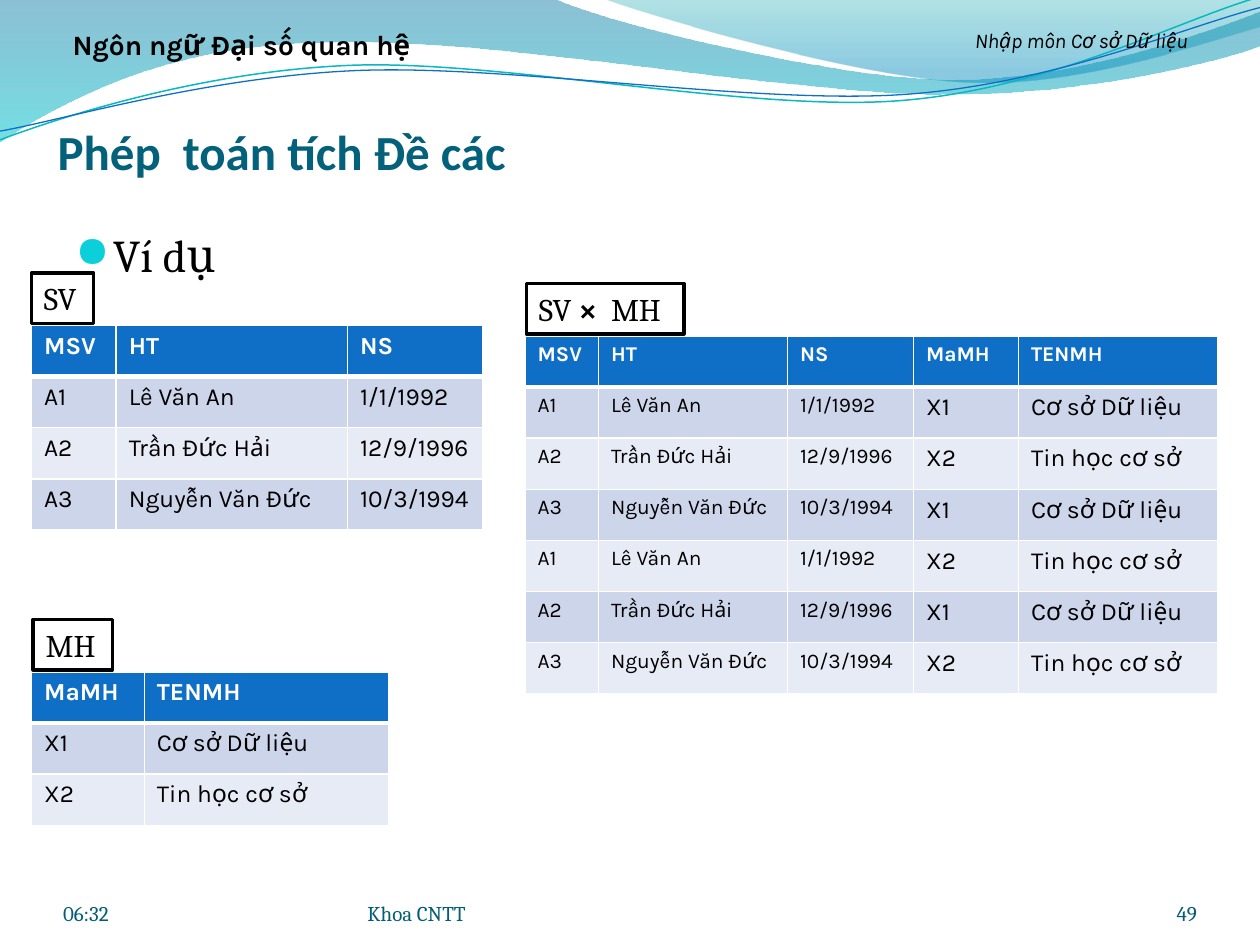
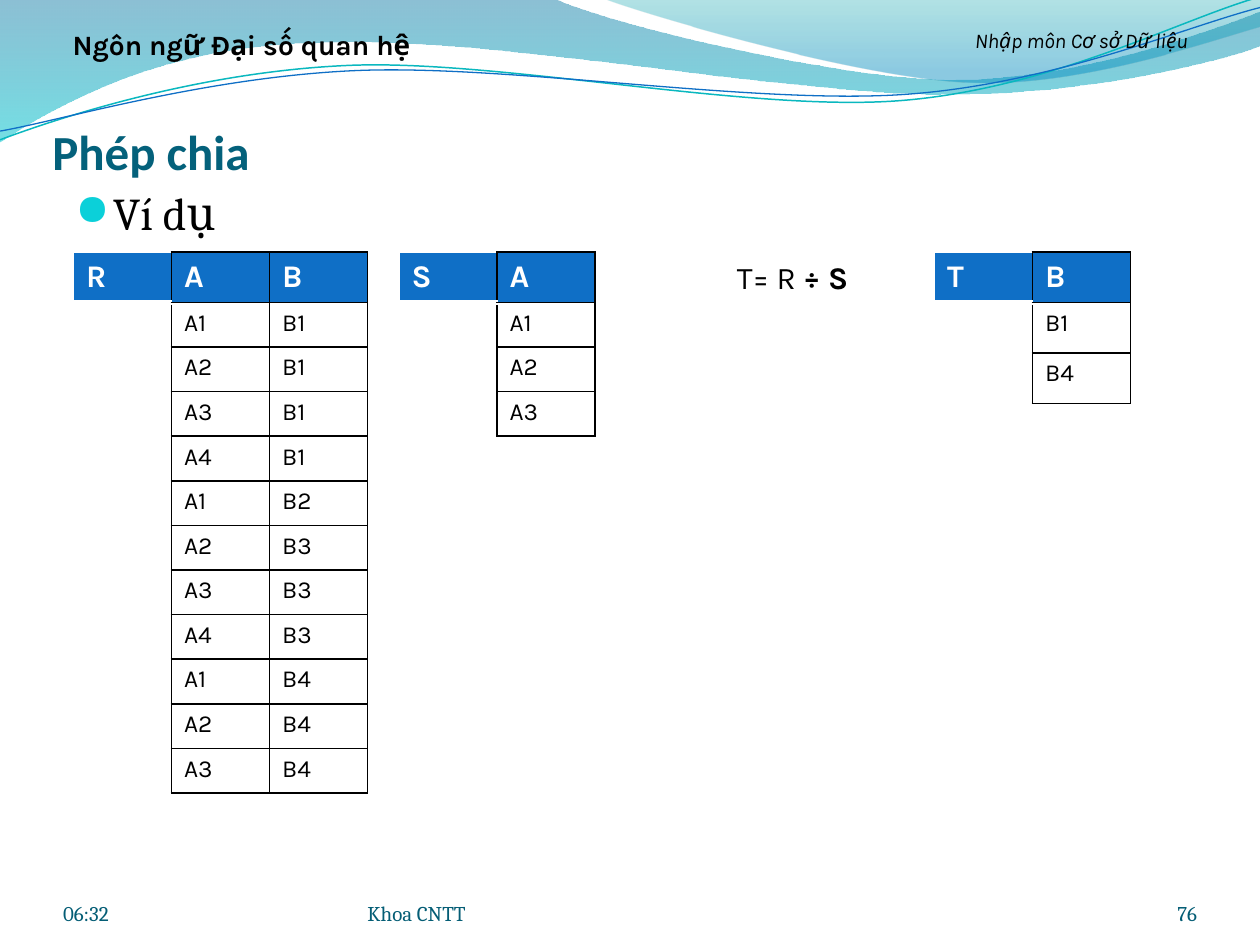
from itertools import product

from lxml.etree import SubElement
from pptx import Presentation
from pptx.dml.color import RGBColor
from pptx.enum.shapes import MSO_SHAPE
from pptx.enum.text import MSO_ANCHOR, PP_ALIGN
from pptx.oxml.ns import qn
from pptx.util import Pt

WHITE = RGBColor(0xFF, 0xFF, 0xFF)
BLACK = RGBColor(0x00, 0x00, 0x00)
TITLE_TEAL = RGBColor(0x04, 0x61, 0x7B)
FOOTER_TEAL = RGBColor(0x04, 0x5D, 0x75)
BULLET_CYAN = RGBColor(0x0B, 0xD0, 0xD9)
HEADER_BLUE = RGBColor(0x0F, 0x6F, 0xC6)
WAVE_TEAL = RGBColor(0x0A, 0xB8, 0xBF)
BAND_DARK = RGBColor(0xCC, 0xD5, 0xEA)
BAND_LIGHT = RGBColor(0xE7, 0xEB, 0xF5)
LEFT_BAND_STOPS = [(0, RGBColor(0x00, 0x74, 0xA1), 45), (1, RGBColor(0x00, 0xC6, 0xCF), 55)]
RIGHT_BAND_STOPS = [(0, RGBColor(0x00, 0xA1, 0xA9), 30), (0.8, RGBColor(0x00, 0x8B, 0xBF), 45)]

SLIDE_BOX = (0, 0, 720, 540)
LEFT_BAND = [
    (0, -0.7), (316.8, -0.7),
    (342.7, 12.2, 478.1, 45.4, 545.8, 45.4), (614.2, 45.4, 689.8, 18.7, 720, 6.5),
    (720.7, 25.9),
    (707.8, 31.7, 626.4, 54.7, 537.1, 54), (447.8, 54, 275, 20.2, 185, 24.5),
    (92.9, 25.2, 33.1, 59.8, -0.7, 81.4),
]
RIGHT_BAND = [
    (344.9, -0.7),
    (366.5, 7.9, 491, 44.6, 553.7, 46.8), (616.3, 49.7, 691.9, 23, 720, 15.1),
    (720, 0),
]
TEAL_WAVE = [
    (0, 79.9),
    (34.6, 67, 113.8, 41, 199.4, 37.4), (284.4, 33.8, 427, 64.1, 513.4, 57.6),
    (599.8, 51.1, 675.4, 10.8, 718.6, -1.4),
]
BLUE_WAVE = [
    (0, 74.9),
    (33.8, 69.1, 118.1, 43.9, 203.8, 40.3), (290.2, 36.7, 429.8, 59.8, 516.2, 54),
    (601.9, 48.2, 677.5, 15.1, 720, 4.3),
]

STUDENT_FIELDS = ("MSV", "HT", "NS")
STUDENTS = [
    ("A1", "Lê Văn An", "1/1/1992"),
    ("A2", "Trần Đức Hải", "12/9/1996"),
    ("A3", "Nguyễn Văn Đức", "10/3/1994"),
]
SUBJECT_FIELDS = ("MaMH", "TENMH")
SUBJECTS = [("X1", "Cơ sở Dữ liệu"), ("X2", "Tin học cơ sở")]
DIVIDEND = [
    ("A1", "B1"), ("A2", "B1"), ("A3", "B1"), ("A4", "B1"), ("A1", "B2"),
    ("A2", "B3"), ("A3", "B3"), ("A4", "B3"),
    ("A1", "B4"), ("A2", "B4"), ("A3", "B4"),
]


def write_text(frame, runs, size, font="Karla", color=BLACK, bold=False, italic=False,
               align=PP_ALIGN.LEFT, anchor=MSO_ANCHOR.TOP, insets=(7.2, 3.6, 7.2, 3.6),
               wrap=True):
    frame.word_wrap = wrap
    frame.vertical_anchor = anchor
    frame.margin_left, frame.margin_top, frame.margin_right, frame.margin_bottom = map(Pt, insets)
    paragraph = frame.paragraphs[0]
    paragraph.alignment = align
    for wording, heavy in [(runs, bold)] if isinstance(runs, str) else runs:
        run = paragraph.add_run()
        run.text = wording
        run.font.size = Pt(size)
        run.font.name = font
        run.font.bold = heavy
        run.font.italic = italic
        run.font.color.rgb = color
    return paragraph


def add_text(slide, box, runs, size, **style):
    frame = slide.shapes.add_textbox(*map(Pt, box)).text_frame
    return write_text(frame, runs, size, **style)


def bend(outline_shape, segments):
    corners = list(outline_shape.element.iter(qn("a:lnTo")))
    for segment in segments:
        steps = [corners.pop(0) for _ in range(len(segment) // 2)]
        if len(steps) == 3:
            steps[0].addprevious(curve := steps[0].makeelement(qn("a:cubicBezTo")))
            for step in steps:
                curve.append(step[0])
                step.getparent().remove(step)


def add_outline(slide, origin, outline, close):
    left, top = origin
    points = [(Pt(left + x), Pt(top + y))
              for segment in outline for x, y in zip(segment[::2], segment[1::2])]
    builder = slide.shapes.build_freeform(*points[0])
    builder.add_line_segments(points[1:], close=close)
    outline_shape = builder.convert_to_shape()
    outline_shape.shadow.inherit = False
    bend(outline_shape, outline[1:])
    return outline_shape


def add_band(slide, origin, outline, stops):
    band = add_outline(slide, origin, outline, close=True)
    band.line.fill.background()
    band.fill.gradient()
    band.fill.gradient_angle = 270
    for stop, (position, color, _) in zip(band.fill.gradient_stops, stops):
        stop.position = position
        stop.color.rgb = color
    for tint, (_, _, opacity) in zip(band.element.spPr.iter(qn("a:srgbClr")), stops):
        SubElement(tint, qn("a:alpha"), val=str(opacity * 1000))


def add_wave(slide, origin, outline, color, width):
    wave = add_outline(slide, origin, outline, close=False)
    wave.fill.background()
    wave.line.color.rgb = color
    wave.line.width = Pt(width)


def add_header(slide, box):
    left, top, width, _ = box
    origin = (left, top)
    add_band(slide, origin, LEFT_BAND, LEFT_BAND_STOPS)
    add_band(slide, origin, RIGHT_BAND, RIGHT_BAND_STOPS)
    add_wave(slide, origin, TEAL_WAVE, WAVE_TEAL, 0.85)
    add_wave(slide, origin, BLUE_WAVE, HEADER_BLUE, 0.75)
    add_text(slide, (left + width - 204, top + 12, 204, 27), "Nhập môn Cơ sở Dữ liệu", 12,
             italic=True, align=PP_ALIGN.CENTER)
    add_text(slide, (left + 18, top + 12, 240, 27), "Ngôn ngữ Đại số quan hệ", 16,
             bold=True, align=PP_ALIGN.CENTER)


def add_footer(slide, box, number):
    left, top, width, height = box
    style = dict(font="Cambria", color=FOOTER_TEAL, anchor=MSO_ANCHOR.BOTTOM,
                 insets=(0, 0, 0, 0))
    add_text(slide, (left, top, 168, height), "06:32", 12, **style)
    add_text(slide, (left + 174, top, 264, height), "Khoa CNTT", 12, **style)
    add_text(slide, (left + width - 60, top, 60, height), number, 12,
             align=PP_ALIGN.RIGHT, **style)


def add_example_bullet(slide, box):
    paragraph = add_text(slide, box, "Ví dụ", 26, font="Cambria")
    properties = paragraph._p.get_or_add_pPr()
    properties.set("marL", str(Pt(21.6)))
    properties.set("indent", str(-Pt(21.6)))
    SubElement(SubElement(properties, qn("a:buClr")), qn("a:srgbClr"), val=str(BULLET_CYAN))
    SubElement(properties, qn("a:buSzPct"), val="95000")
    SubElement(properties, qn("a:buFont"), typeface="OpenSymbol")
    SubElement(properties, qn("a:buChar"), char="●")


def add_frame(deck, title, title_box, bullet_box, number):
    slide = deck.slides.add_slide(deck.slide_layouts[6])
    add_header(slide, SLIDE_BOX)
    add_text(slide, title_box, title, 28, font="Calibri", color=TITLE_TEAL, bold=True,
             anchor=MSO_ANCHOR.BOTTOM, insets=(0, 3.6, 0, 0))
    add_example_bullet(slide, bullet_box)
    add_footer(slide, (36, 500.4, 648, 28.8), number)
    return slide


def set_borders(cell, left, right, top, bottom):
    properties = cell._tc.get_or_add_tcPr()
    for side, (color, width) in zip("LRTB", (left, right, top, bottom)):
        border = SubElement(properties, qn(f"a:ln{side}"), w=str(Pt(width)))
        SubElement(SubElement(border, qn("a:solidFill")), qn("a:srgbClr"), val=str(color))


def add_grid(slide, origin, widths, heights):
    table = slide.shapes.add_table(len(heights), len(widths), *map(Pt, origin),
                                   Pt(sum(widths)), Pt(sum(heights))).table
    table.first_row = table.horz_banding = False
    for column, width in zip(table.columns, widths):
        column.width = Pt(width)
    for row, height in zip(table.rows, heights):
        row.height = Pt(height)
    return table


def fill_cell(cell, wording, fill, size, **style):
    if fill is None:
        cell.fill.background()
    else:
        cell.fill.solid()
        cell.fill.fore_color.rgb = fill
    if wording:
        write_text(cell.text_frame, wording, size, **style)
    else:
        SubElement(cell.text_frame.paragraphs[0]._p, qn("a:endParaRPr"), sz=str(size * 100))


def add_banded_table(slide, origin, widths, fields, records, header_size, body_sizes):
    rows = [fields, *records]
    table = add_grid(slide, origin, widths, [29.2] * len(rows))
    thin, thick = (WHITE, 1), (WHITE, 3)
    for r, c in product(range(len(rows)), range(len(widths))):
        cell = table.cell(r, c)
        set_borders(cell, thin, thin, thick if r == 1 else thin, thick if r == 0 else thin)
        if r == 0:
            fill_cell(cell, fields[c], HEADER_BLUE, header_size, color=WHITE, bold=True)
        else:
            fill_cell(cell, rows[r][c], BAND_DARK if r % 2 else BAND_LIGHT, body_sizes[c])


def add_relation_table(slide, origin, relation, fields, records, row_height, merged):
    rows = [(relation, *fields), *(("", *record) for record in records)]
    table = add_grid(slide, origin, [56] * len(rows[0]), [28.8] + [row_height] * len(records))
    white, thick, black = (WHITE, 1), (WHITE, 3), (BLACK, 1)
    for r, c in product(range(len(rows)), range(len(rows[0]))):
        cell = table.cell(r, c)
        if c:
            set_borders(cell, black, black, black, black)
        else:
            set_borders(cell, white, black, thick if r == 1 else white,
                        thick if r == 0 else white)
        if r == 0:
            fill_cell(cell, rows[r][c], HEADER_BLUE, 18, color=WHITE, bold=True)
        else:
            fill_cell(cell, rows[r][c], None, 14)
    if merged:
        table.cell(1, 0).merge(table.cell(len(records), 0))


def add_relation_label(slide, box, runs):
    label = slide.shapes.add_shape(MSO_SHAPE.RECTANGLE, *map(Pt, box))
    label.shadow.inherit = False
    label.fill.solid()
    label.fill.fore_color.rgb = WHITE
    label.line.color.rgb = BLACK
    label.line.width = Pt(2)
    write_text(label.text_frame, runs, 18, font="Cambria", wrap=False)


def add_product_slide(deck):
    slide = add_frame(deck, "Phép  toán tích Đề các", (33, 54, 648, 49),
                      (36, 126, 648, 381), "49")
    add_banded_table(slide, (18, 186), [48.4, 132.2, 77.2], STUDENT_FIELDS, STUDENTS,
                     14, [14] * 3)
    add_relation_label(slide, (18, 156, 35.5, 28.8), "SV")
    add_banded_table(slide, (18, 384), [64.5, 139.5], SUBJECT_FIELDS, SUBJECTS, 14, [14] * 2)
    add_relation_label(slide, (19, 354, 45.3, 28.8), "MH")
    pairs = [STUDENTS[i % 3] + SUBJECTS[i % 2] for i in range(6)]
    add_banded_table(slide, (300, 192), [42, 108, 72, 60, 114],
                     STUDENT_FIELDS + SUBJECT_FIELDS, pairs, 12, [12] * 3 + [14] * 2)
    add_relation_label(slide, (300.8, 162, 90, 28.8),
                       [("SV ", False), ("×  ", True), ("MH", False)])


def add_division_slide(deck):
    slide = add_frame(deck, "Phép chia", (30, 54, 672, 49), (36, 102, 648, 408), "76")
    add_relation_table(slide, (42, 144), "R", ("A", "B"), DIVIDEND, 25.5, merged=True)
    add_relation_table(slide, (228, 144), "S", ("A",), [("A1",), ("A2",), ("A3",)], 25.5,
                       merged=True)
    add_text(slide, (414, 144, 88, 28.8), [("T= R ", False), ("÷ S", True)], 18, wrap=False)
    add_relation_table(slide, (534, 144), "T", ("B",), [("B1",), ("B4",)], 28.8, merged=False)


def main():
    deck = Presentation()
    deck.slide_width, deck.slide_height = Pt(720), Pt(540)
    add_product_slide(deck)
    add_division_slide(deck)
    deck.save("out.pptx")


if __name__ == "__main__":
    main()
